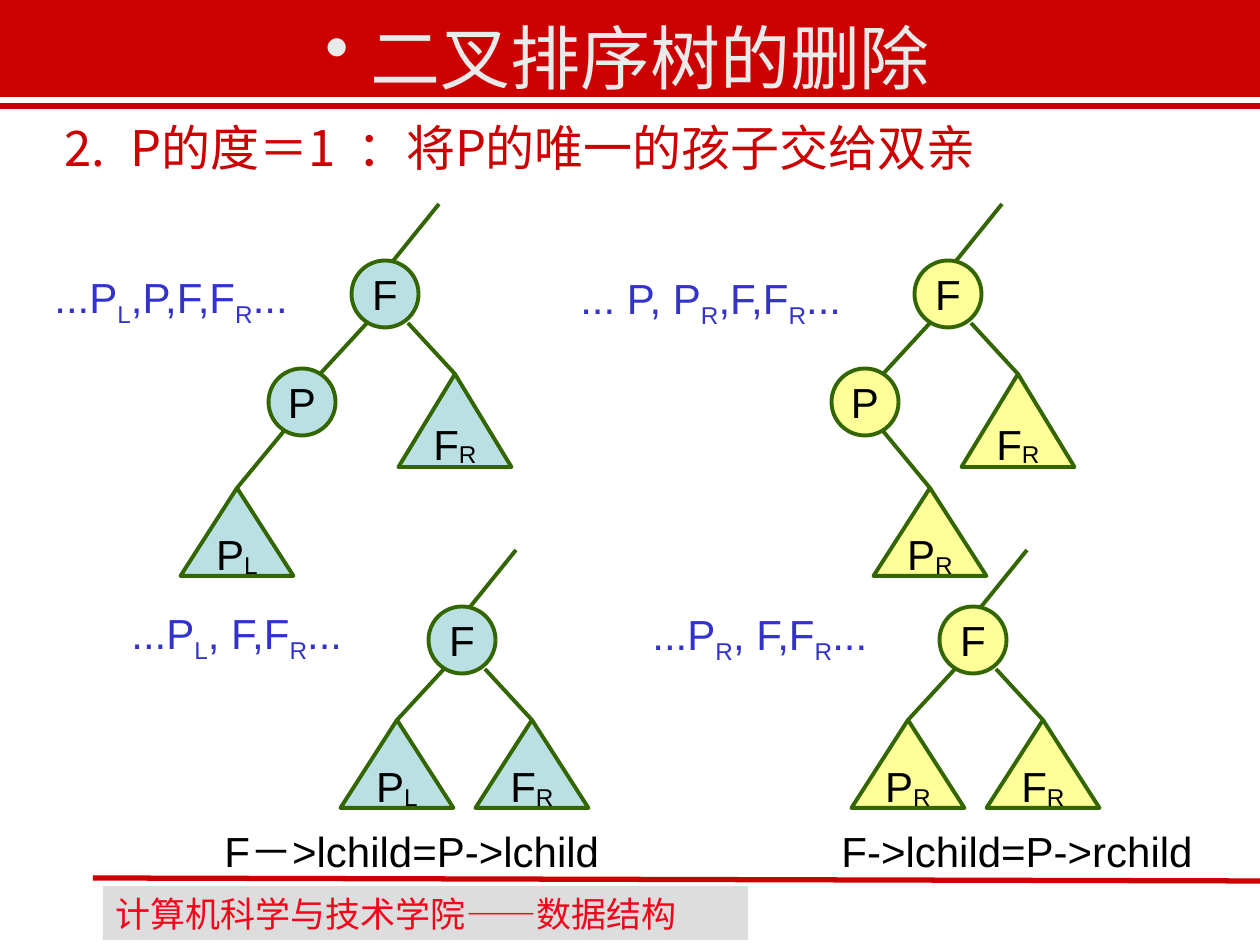
from dataclasses import dataclass

from lxml import etree
from pptx import Presentation
from pptx.dml.color import RGBColor
from pptx.enum.shapes import MSO_CONNECTOR, MSO_SHAPE
from pptx.enum.text import MSO_ANCHOR, PP_ALIGN
from pptx.oxml.ns import qn
from pptx.util import Emu, Pt

RECT, OVAL, TRIANGLE = MSO_SHAPE.RECTANGLE, MSO_SHAPE.OVAL, MSO_SHAPE.ISOSCELES_TRIANGLE
STRAIGHT = MSO_CONNECTOR.STRAIGHT
LEFT, CENTER = PP_ALIGN.LEFT, PP_ALIGN.CENTER
TOP, MIDDLE = MSO_ANCHOR.TOP, MSO_ANCHOR.MIDDLE

PX_PER_INCH = 126
NODE = 67
TREE_W, TREE_H, TALL_TREE_H = 113, 88, 93


@dataclass(frozen=True)
class Theme:
    red: str = "CC0000"
    title: str = "EAEAEA"
    footer: str = "F4041B"
    footer_fill: str = "DDDDDD"
    blue_node: str = "BBE0E3"
    yellow_node: str = "FFFF99"
    edge: str = "336600"
    sequence: str = "3333CC"
    ink: str = "000000"
    latin: str = "Arial"
    serif: str = "Times New Roman"
    cjk: str = "Noto Sans CJK SC"
    heading_font: str = "Noto Sans CJK JP"
    title_size: int = 40
    heading_size: int = 28
    body_size: int = 24
    footer_size: int = 20
    rule_width: float = 3
    edge_width: float = 2.25


T = Theme()


def px(n):
    return Emu(round(n * 914400 / PX_PER_INCH))


def rgb(value):
    return RGBColor.from_string(value)


def add_run(p, text, size, color, font=T.latin, baseline=0):
    r = p.add_run()
    r.text = text
    for name, value in {"size": Pt(size), "name": font}.items():
        setattr(r.font, name, value)
    r.font.color.rgb = rgb(color)
    east_asian = font if "CJK" in font else T.cjk
    r.font._element.find(qn("a:latin")).addnext(
        etree.Element(qn("a:ea"), typeface=east_asian))
    if baseline:
        r.font._element.set("baseline", str(baseline * 1000))


def add_subscripted(p, text, color, baseline):
    """Write text in which the letter after each underscore is a subscript."""
    first, *rest = text.split("_")
    add_run(p, first, T.body_size, color)
    for part in rest:
        add_run(p, part[0], T.body_size, color, baseline=baseline)
        if part[1:]:
            add_run(p, part[1:], T.body_size, color)


def format_text(s, align=LEFT, anchor=TOP, wrap=True):
    tf = s.text_frame
    for name, value in {"word_wrap": wrap, "vertical_anchor": anchor}.items():
        setattr(tf, name, value)
    p = tf.paragraphs[0]
    p.alignment = align
    return p


def add_text_box(slide, x, y, w, h, align=LEFT):
    return format_text(slide.shapes.add_textbox(px(x), px(y), px(w), px(h)), align)


def add_filled(slide, kind, x, y, w, h, fill, line=None, width=T.edge_width):
    s = slide.shapes.add_shape(kind, px(x), px(y), px(w), px(h))
    s.shadow.inherit = False
    s.fill.solid()
    s.fill.fore_color.rgb = rgb(fill)
    if line:
        s.line.color.rgb = rgb(line)
        s.line.width = Pt(width)
    else:
        s.line.fill.background()
    return s


def add_line(slide, x1, y1, x2, y2, color=T.edge, width=T.edge_width):
    c = slide.shapes.add_connector(STRAIGHT, px(x1), px(y1), px(x2), px(y2))
    c.line.color.rgb = rgb(color)
    c.line.width = Pt(width)
    etree.SubElement(c._element.spPr, qn("a:effectLst"))
    return c


def label(s, text):
    add_subscripted(format_text(s, CENTER, MIDDLE, wrap=False), text, T.ink, -8)


def add_node(slide, cx, cy, text, fill):
    label(add_filled(slide, OVAL, cx - NODE / 2, cy - NODE / 2, NODE, NODE, fill, T.edge), text)


def add_subtree(slide, cx, cy, dx, dy, text, fill, height=TREE_H):
    """Hang a triangle, its apex dx, dy away, from the node centred at cx, cy."""
    x, y = cx + dx, cy + dy
    s = add_filled(slide, TRIANGLE, x - TREE_W / 2, y, TREE_W, height, fill, T.edge)
    label(s, text)
    start = -18 if dx < 0 else 23 if dx == 70 else 18
    add_line(slide, cx + start, cy + 29, x, y).end_connect(s, 0)


def add_root(slide, cx, cy, fill):
    add_line(slide, cx + 54, cy - 90, cx + 8, cy - 33)
    add_node(slide, cx, cy, "F", fill)


def add_tree_before(slide, cx, cy, child, side, fill):
    """Draw F with P on its left; P has one child, on side -1 or 1."""
    add_root(slide, cx, cy, fill)
    add_line(slide, cx - 18, cy + 29, cx - 65, cy + 80)
    add_node(slide, cx - 83, cy + 108, "P", fill)
    add_subtree(slide, cx, cy, 70, 80, "F_R", fill, TALL_TREE_H)
    add_subtree(slide, cx - 83, cy + 108, side * 65, 86, child, fill)


def add_tree_after(slide, cx, cy, child, fill):
    add_root(slide, cx, cy, fill)
    add_subtree(slide, cx, cy, -65, 80, child, fill)
    add_subtree(slide, cx, cy, 70, 80, "F_R", fill)


def add_frame(slide):
    add_filled(slide, RECT, 0, -2, 1260, 98, T.red, T.red, 1)
    footer = add_filled(slide, RECT, 103, 886, 645, 54, T.footer_fill)
    p = format_text(footer)
    for text, font in (("计算机科学与技术学院", T.latin), ("——", T.cjk), ("数据结构", T.latin)):
        add_run(p, text, T.footer_size, T.footer, font)
    add_line(slide, 93, 878, 1260, 881, T.red, T.rule_width)
    add_line(slide, 0, 106, 1260, 106, T.red, T.rule_width)


def add_title(slide):
    p = add_text_box(slide, 160, 8, 940, 97, CENTER)
    pPr = p._p.get_or_add_pPr()
    color = etree.SubElement(pPr, qn("a:buClr"))
    etree.SubElement(color, qn("a:srgbClr"), val=T.title)
    etree.SubElement(pPr, qn("a:buChar"), char="•")
    add_run(p, " 二叉排序树的删除", T.title_size, T.title, T.serif)


def add_heading(slide):
    p = add_text_box(slide, 52, 111, 1152, 88)
    pPr = p._p.get_or_add_pPr()
    pPr.set("marL", str(px(66)))
    pPr.set("indent", str(px(-66)))
    add_run(p, "2.\tP的度＝1  ：将P的唯一的孩子交给双亲", T.heading_size, T.red, T.heading_font)


def add_assignments(slide):
    p = add_text_box(slide, 212, 819, 1013, 63)
    tabs = etree.SubElement(p._p.get_or_add_pPr(), qn("a:tabLst"))
    etree.SubElement(tabs, qn("a:tab"), pos=str(px(617)), algn="l")
    add_run(p, "F－>lchild=P->lchild\tF->lchild=P->rchild", T.body_size, T.ink)


def main():
    prs = Presentation()
    prs.slide_width, prs.slide_height = px(1260), px(945)
    slide = prs.slides.add_slide(prs.slide_layouts[6])
    add_frame(slide)
    add_heading(slide)
    add_tree_before(slide, 385, 294, "P_L", -1, T.blue_node)
    add_tree_before(slide, 948, 294, "P_R", 1, T.yellow_node)
    add_tree_after(slide, 462, 640, "P_L", T.blue_node)
    add_tree_after(slide, 973, 640, "P_R", T.yellow_node)
    for x, y, w, text in ((42, 265, 268, "...P_L,P,F,F_R..."),
                          (568, 266, 290, "... P, P_R,F,F_R..."),
                          (119, 601, 268, "...P_L, F,F_R..."),
                          (640, 602, 268, "...P_R, F,F_R...")):
        add_subscripted(add_text_box(slide, x, y, w, 71), text, T.sequence, -25)
    add_assignments(slide)
    add_title(slide)
    prs.save("out.pptx")


if __name__ == "__main__":
    main()
